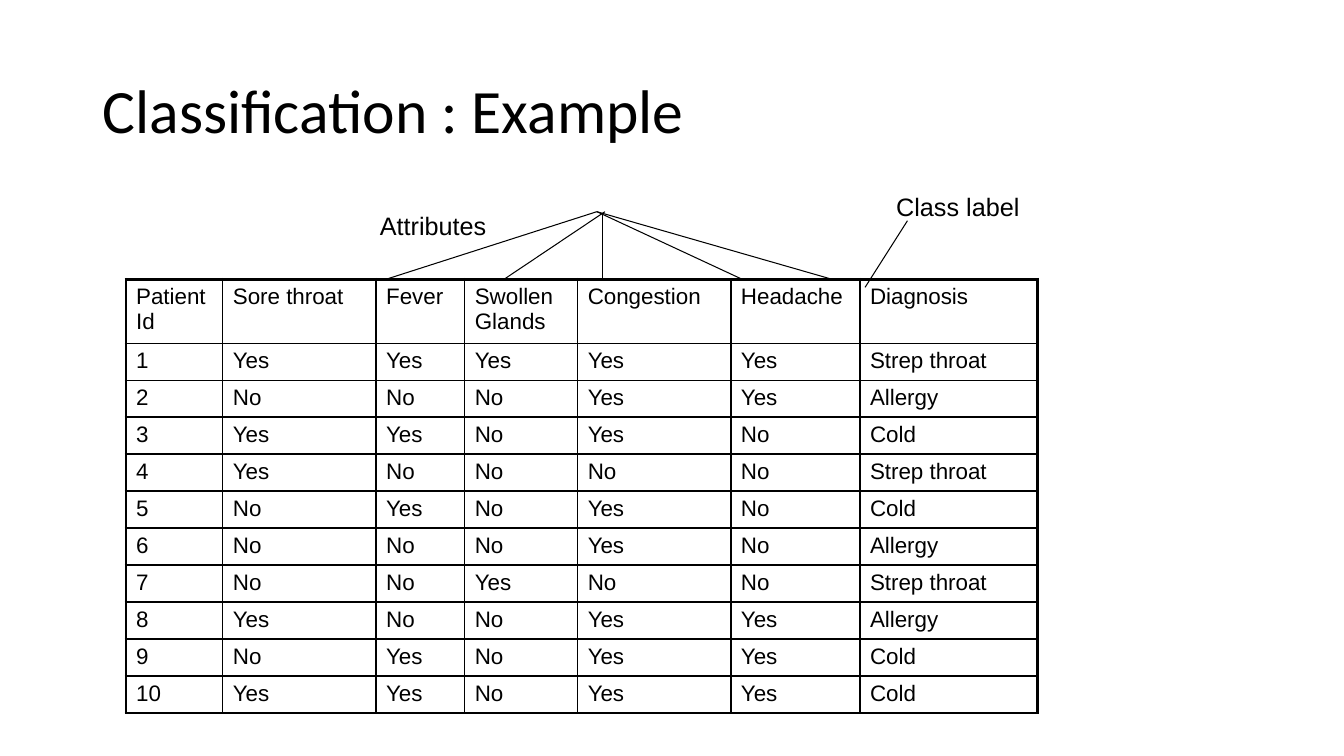
from lxml import etree
from pptx import Presentation
from pptx.dml.color import RGBColor
from pptx.enum.shapes import MSO_CONNECTOR
from pptx.enum.text import MSO_ANCHOR
from pptx.oxml.ns import qn
from pptx.util import Inches, Pt

STRAIGHT = MSO_CONNECTOR.STRAIGHT
TOP, MIDDLE = MSO_ANCHOR.TOP, MSO_ANCHOR.MIDDLE
BLACK = "000000"
THIN, THICK = 1, 2.25

# Table geometry, in grid steps
TABLE_LEFT, TABLE_TOP = 15.63, 34.63
COLUMN_WIDTHS = [12, 19, 11, 14, 19, 16, 22]
HEADER_HEIGHT, PATIENT_HEIGHT = 7.92, 4.58

HEADINGS = ["Patient Id", "Sore throat", "Fever", "Swollen Glands",
            "Congestion", "Headache", "Diagnosis"]
# One letter per symptom (Y or N), then the diagnosis
PATIENTS = [
    ("YYYYY", "Strep throat"),
    ("NNNYY", "Allergy"),
    ("YYNYN", "Cold"),
    ("YNNNN", "Strep throat"),
    ("NYNYN", "Cold"),
    ("NNNYN", "Allergy"),
    ("NNYNN", "Strep throat"),
    ("YNNYY", "Allergy"),
    ("NYNYY", "Cold"),
    ("YYNYY", "Cold"),
]
ANSWERS = {"Y": "Yes", "N": "No"}

# Pointers from the labels to the table columns: start, end
POINTERS = [
    ((74, 26.25), (47.88, TABLE_TOP)),
    ((75, 26.25), (62.5, TABLE_TOP)),
    ((74.75, 26.38), (74.75, TABLE_TOP)),
    ((74, 26.25), (92, TABLE_TOP)),
    ((74, 26.25), (103.13, TABLE_TOP)),
    ((112.5, 27.38), (107.25, 35.63)),
]


def grid(steps):
    """Length of a number of 0.08 inch grid steps."""
    return Inches(0.08 * steps)


def color(hex_string):
    return RGBColor.from_string(hex_string)


def style_font(paragraph, size, face):
    for run in paragraph.runs:
        run.font.size = Pt(size)
        run.font.name = face
        run.font.color.rgb = color(BLACK)


def add_label(slide, text, box, size, face="Arial", anchor=TOP, spacing=None):
    label = slide.shapes.add_textbox(*map(grid, box))
    frame = label.text_frame
    frame.word_wrap = True
    frame.vertical_anchor = anchor
    frame.text = text
    paragraph = frame.paragraphs[0]
    paragraph.line_spacing = spacing
    style_font(paragraph, size, face)


def add_pointer(slide, start, end):
    pointer = slide.shapes.add_connector(STRAIGHT, *map(grid, start + end))
    pointer.line.color.rgb = color(BLACK)
    pointer.line.width = Pt(0.75)
    etree.SubElement(pointer.element.spPr, qn("a:effectLst"))


def set_borders(cell, widths):
    properties = cell._tc.get_or_add_tcPr()
    for side, width in widths.items():
        border = etree.SubElement(properties, qn(f"a:ln{side}"), w=str(Pt(width)))
        fill = etree.SubElement(border, qn("a:solidFill"))
        etree.SubElement(fill, qn("a:srgbClr"), val=BLACK)


def add_patient_table(slide):
    records = [HEADINGS] + [
        [str(number), *(ANSWERS[letter] for letter in symptoms), diagnosis]
        for number, (symptoms, diagnosis) in enumerate(PATIENTS, 1)]
    heights = [HEADER_HEIGHT] + [PATIENT_HEIGHT] * len(PATIENTS)
    last_row, last_column = len(records) - 1, len(HEADINGS) - 1
    table = slide.shapes.add_table(
        len(records), len(HEADINGS), grid(TABLE_LEFT), grid(TABLE_TOP),
        grid(sum(COLUMN_WIDTHS)), grid(sum(heights))).table
    table.first_row = table.horz_banding = False
    for column, width in zip(table.columns, COLUMN_WIDTHS):
        column.width = grid(width)
    for row, height in zip(table.rows, heights):
        row.height = grid(height)

    for r, record in enumerate(records):
        for c, text in enumerate(record):
            cell = table.cell(r, c)
            cell.text_frame.text = text
            style_font(cell.text_frame.paragraphs[0], 16, "Arial")
            # Thick outer frame, thin inner rules
            outer = {"L": c == 0, "R": c == last_column,
                     "T": r == 0, "B": r == last_row}
            set_borders(cell, {side: THICK if edge else THIN
                               for side, edge in outer.items()})
            cell.fill.background()


def main():
    deck = Presentation()
    deck.slide_width, deck.slide_height = Inches(13.33), Inches(7.5)
    slide = deck.slides.add_slide(deck.slide_layouts[6])

    # Title
    add_label(slide, "Classification : Example", (11.5, 5, 143.75, 18.13),
              44, "Calibri", MIDDLE, 0.9)
    # Patient records
    add_patient_table(slide)
    # Labels and their pointers
    add_label(slide, "Class label", (109.88, 23.13, 18.75, 5), 18)
    for start, end in POINTERS:
        add_pointer(slide, start, end)
    add_label(slide, "Attributes", (45.88, 25.5, 18.75, 5), 18)

    deck.save("out.pptx")


if __name__ == "__main__":
    main()
